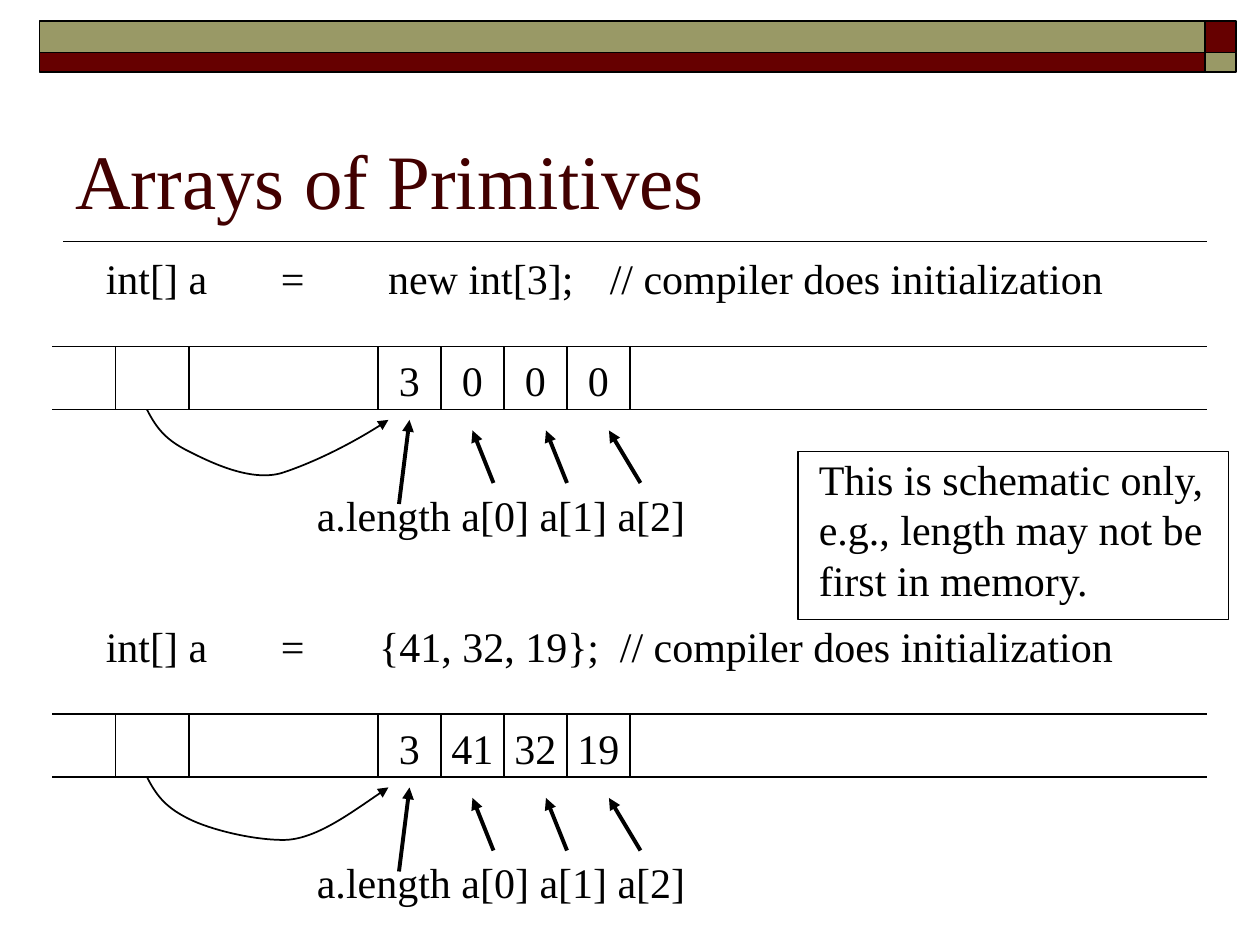
from lxml.etree import SubElement
from pptx import Presentation
from pptx.dml.color import RGBColor
from pptx.enum.shapes import MSO_CONNECTOR, MSO_SHAPE
from pptx.enum.text import MSO_ANCHOR, PP_ALIGN
from pptx.oxml.ns import qn
from pptx.util import Inches, Pt

deck = Presentation()
deck.slide_width, deck.slide_height = Inches(10), Inches(7.5)
page = deck.slides.add_slide(deck.slide_layouts[6])
shapes = page.shapes
unit = deck.slide_width / 120


def paint(target, color):
    target.solid()
    target.fore_color.rgb = RGBColor.from_string(color)


def write(text, left, top, width, height, size=24, color="000000",
          align=PP_ALIGN.LEFT, anchor=MSO_ANCHOR.TOP, inset=0.1, tabs=()):
    box = shapes.add_textbox(*(int(n * unit) for n in (left, top, width, height)))
    frame = box.text_frame
    frame.word_wrap = True
    frame.vertical_anchor = anchor
    frame.margin_left = frame.margin_right = Inches(inset)
    frame.text = text
    for para in frame.paragraphs:
        para.alignment = align
        if tabs:
            stops = SubElement(para._p.get_or_add_pPr(), qn("a:tabLst"))
            for stop in tabs:
                SubElement(stops, qn("a:tab"), pos=str(Inches(stop)), algn="l")
        for span in para.runs:
            span.font.name = "Times New Roman"
            span.font.size = Pt(size)
            paint(span.font.fill, color)


band_columns = [(3.75, 111), (114.75, 3)]
band_rows = [(2, 3), (5, 1.85)]
for row, (top, height) in enumerate(band_rows):
    for column, (left, width) in enumerate(band_columns):
        bar = shapes.add_shape(MSO_SHAPE.RECTANGLE, *(int(n * unit) for n in (left, top, width, height)))
        bar.shadow.inherit = False
        paint(bar.fill, "999966" if row == column else "660000")
        paint(bar.line.fill, "000000")
        bar.line.width = Pt(1)

write("Arrays of Primitives", 6, 7, 108, 15, size=44, color="420000", anchor=MSO_ANCHOR.BOTTOM)

examples = [
    (33, "int[] a\t=\tnew int[3];\t// compiler does initialization",
     (1.39, 2.24, 4), ["3", "0", "0", "0"]),
    (68, "int[] a\t=\t{41, 32, 19};\t// compiler does initialization",
     (1.39, 2.17, 4.08), ["3", "41", "32", "19"]),
]
cell_height = 6
cell_width = 6
first_cell = 36
dividers = [11, 18] + [first_cell + cell_width * n for n in range(5)]
pointers = [(38, 15, 39, 7), (47, 13, 45, 8), (54, 13, 52, 8), (61, 13, 58, 8)]
curve_points = [(14.88, 7.56), (15.84, 9), (18, 10), (20.16, 11), (23.88, 12.5),
                (27, 12), (30.12, 11.5), (33.6, 9.24), (37, 7)]
lines = [(6, 23, 115, 23, 1, False)]

for top, statement, tabs, values in examples:
    write(statement, 8.9, top - 9.5, 103, 6, tabs=tabs)
    for n, value in enumerate(values):
        write(value, first_cell + cell_width * n, top + 0.2, cell_width, cell_height,
              align=PP_ALIGN.CENTER, inset=0)
    write("a.length a[0] a[1] a[2]", 29, top + 13, 39, 6)

    lines += [(5, y, 115, y, 1, False) for y in (top, top + cell_height)]
    lines += [(x, top, x, top + cell_height, 1, False) for x in dividers]
    lines += [(x1, top + y1, x2, top + y2, 2.25, True) for x1, y1, x2, y2 in pointers]

    builder = shapes.build_freeform(14, top + cell_height, scale=unit)
    builder.add_line_segments([(x, top + y) for x, y in curve_points], close=False)
    reference = builder.convert_to_shape()
    reference.shadow.inherit = False
    reference.fill.background()
    paint(reference.line.fill, "000000")
    reference.line.width = Pt(1)
    SubElement(reference.line._get_or_add_ln(), qn("a:tailEnd"), type="triangle")
    outline = next(reference._element.iter(qn("a:path")))
    segments = outline.findall(qn("a:lnTo"))
    for start in range(0, len(segments), 3):
        curve = SubElement(outline, qn("a:cubicBezTo"))
        for segment in segments[start:start + 3]:
            curve.append(segment[0])
            outline.remove(segment)

for x1, y1, x2, y2, weight, arrow in lines:
    line = shapes.add_connector(MSO_CONNECTOR.STRAIGHT, *(int(n * unit) for n in (x1, y1, x2, y2)))
    paint(line.line.fill, "000000")
    line.line.width = Pt(weight)
    if arrow:
        SubElement(line.line._get_or_add_ln(), qn("a:tailEnd"), type="triangle")
    SubElement(line._element.spPr, qn("a:effectLst"))

write("This is schematic only,\ne.g., length may not be\nfirst in memory.", 76.8, 42.6, 40.2, 15.6)
border = shapes.add_shape(MSO_SHAPE.RECTANGLE, *(int(n * unit) for n in (76, 43, 41, 16)))
border.shadow.inherit = False
border.fill.background()
paint(border.line.fill, "000000")
border.line.width = Pt(1)

deck.save("out.pptx")
